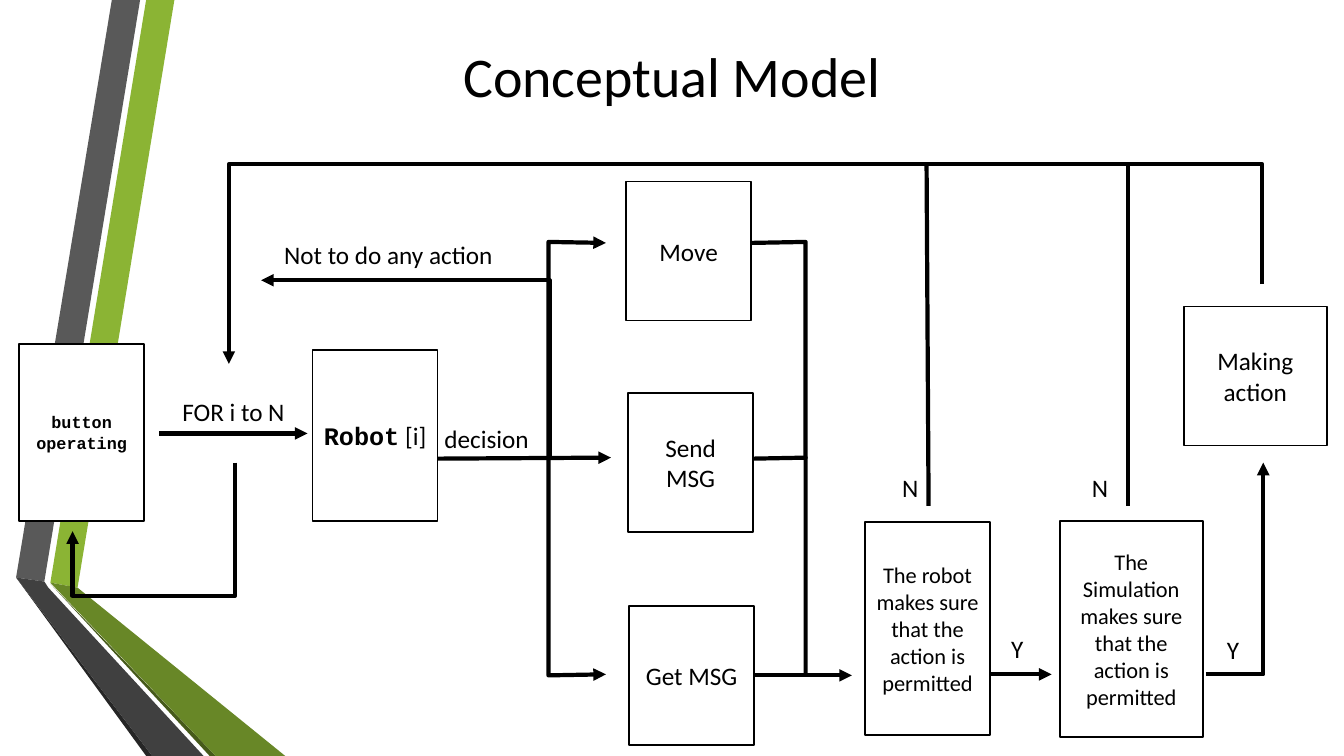
from typing import NamedTuple

from lxml import etree
from pptx import Presentation
from pptx import util as u
from pptx.dml import color
from pptx.enum import shapes, text
from pptx.oxml import ns

BLACK, WHITE = "000000", "FFFFFF"
SANS, MONO = "Calibri", "Courier New"


class Band(NamedTuple):
    fill: str
    points: list


class Box(NamedTuple):
    lines: list  # one list of (text, font, bold) per paragraph
    left: float
    top: float
    width: float
    height: float
    size: int = 18


class Label(NamedTuple):
    text: str
    left: float
    top: float
    width: float


class Route(NamedTuple):
    points: list
    arrow: bool = True
    begin: str = ""  # box whose right side the line leaves


def rgb(value: str) -> color.RGBColor:
    return color.RGBColor.from_string(value)


def plain(words: str) -> list:
    return [[(words, SANS, False)]]


def outline(shapes_, points: list, closed: bool):
    pts = [(u.Inches(x), u.Inches(y)) for x, y in points]
    fb = shapes_.build_freeform(*pts[0], scale=1.0)
    fb.add_line_segments(pts[1:], close=closed)
    sp = fb.convert_to_shape()
    sp.shadow.inherit = False
    return sp


def fill_text(tf, lines: list, size: int, align, anchor) -> None:
    tf.word_wrap = True
    tf.vertical_anchor = anchor
    for i, runs in enumerate(lines):
        p = tf.paragraphs[0] if i == 0 else tf.add_paragraph()
        p.alignment = align
        for words, font, bold in runs:
            r = p.add_run()
            r.text = words
            r.font.name, r.font.size, r.font.bold = font, u.Pt(size), bold
            r.font.color.rgb = rgb(BLACK)


def draw_band(slide, band: Band) -> None:
    sp = outline(slide.shapes, band.points, True)
    sp.fill.solid()
    sp.fill.fore_color.rgb = rgb(band.fill)
    sp.line.fill.background()


def draw_box(slide, box: Box):
    sp = slide.shapes.add_shape(shapes.MSO_SHAPE.RECTANGLE, *map(u.Inches, box[1:5]))
    sp.shadow.inherit = False
    sp.fill.solid()
    sp.fill.fore_color.rgb = rgb(WHITE)
    sp.line.color.rgb = rgb(BLACK)
    sp.line.width = u.Pt(1.25)
    fill_text(sp.text_frame, box.lines, box.size, text.PP_ALIGN.CENTER, text.MSO_ANCHOR.MIDDLE)
    return sp


def draw_label(slide, label: Label) -> None:
    sp = slide.shapes.add_textbox(*map(u.Inches, (label.left, label.top, label.width, 0.4)))
    fill_text(sp.text_frame, plain(label.text), 18, text.PP_ALIGN.LEFT, text.MSO_ANCHOR.TOP)


def draw_route(slide, route: Route, boxes: dict) -> None:
    if len(route.points) == 2:
        start, end = route.points
        sp = slide.shapes.add_connector(
            shapes.MSO_CONNECTOR.STRAIGHT, *map(u.Inches, start + end))
        etree.SubElement(sp._element.spPr, ns.qn("a:effectLst"))
        if route.begin:
            sp.begin_connect(boxes[route.begin], 3)
    else:
        sp = outline(slide.shapes, route.points, False)
        sp.fill.background()
    sp.line.color.rgb = rgb(BLACK)
    sp.line.width = u.Pt(3)
    if route.arrow:
        etree.SubElement(sp.line._get_or_add_ln(), ns.qn("a:tailEnd"), type="triangle")


# Folded ribbons on the left
BANDS = [
    Band("8BB434", [(0.5, 5.78), (0.77, 5.83), (1.73, 0), (1.45, 0)]),
    Band("595959", [(1.39, 0), (1.11, 0), (0.16, 5.73), (0.44, 5.77)]),
    Band("262626", [(0.16, 5.73), (1.45, 7.5), (1.51, 7.5)]),
    Band("465A1A", [(0.5, 5.79), (2.08, 7.5), (2.14, 7.5)]),
    Band("688727", [(0.5, 5.78), (2.14, 7.5), (2.83, 7.5), (0.77, 5.83)]),
    Band("404040", [(2.02, 7.5), (0.48, 5.83), (0.44, 5.77), (0.16, 5.73), (1.51, 7.5)]),
]

# Steps of the model
BOXES = {
    "button": Box([[("button", MONO, True)], [("operating", MONO, True)]],
                  0.19, 3.41, 1.24, 1.76, 12),
    "robot": Box([[("Robot", MONO, True), (" [i]", SANS, False)]], 3.1, 3.47, 1.24, 1.7),
    "move": Box(plain("Move"), 6.21, 1.8, 1.24, 1.38),
    "send": Box(plain("Send MSG"), 6.23, 3.9, 1.24, 1.38),
    "get": Box(plain("Get MSG"), 6.24, 6.01, 1.24, 1.38),
    "robot check": Box(plain("The robot makes sure that the action is permitted"),
                       8.58, 5.18, 1.24, 2.11, 16),
    "simulation check": Box(plain("The Simulation makes sure that the action is permitted"),
                            10.51, 5.17, 1.42, 2.14, 16),
    "action": Box(plain("Making action"), 11.74, 3.04, 1.42, 1.38),
}

ROUTES = [
    # Loop start and decision branches
    Route([(1.58, 4.3), (3.05, 4.3)]),
    Route([(2.33, 4.59), (2.33, 5.91), (0.72, 5.91), (0.72, 5.27)]),
    Route([(4.34, 4.55), (6.06, 4.54)]),
    Route([(5.44, 4.55), (5.44, 2.4), (6.01, 2.41)]),
    Route([(5.44, 4.55), (5.44, 6.7), (6.01, 6.69)]),
    Route([(5.45, 4.53), (5.45, 2.78), (2.59, 2.78)]),
    # Merge towards the checks
    Route([(7.45, 2.41), (7.99, 2.4), (7.99, 4.55)], False),
    Route([(7.47, 4.55), (7.99, 4.54), (7.99, 6.69)], False),
    Route([(7.48, 6.7), (8.45, 6.7)], begin="get"),
    Route([(9.82, 6.69), (10.43, 6.69)]),
    Route([(11.96, 6.69), (12.53, 6.69), (12.53, 4.59)]),
    # Return to the loop
    Route([(12.52, 2.82), (12.52, 1.63), (2.27, 1.63), (2.27, 3.61)]),
    Route([(9.19, 1.63), (9.21, 5.02)], False),
    Route([(11.19, 1.63), (11.19, 5.02)], False),
]

LABELS = [
    Label("FOR i to N", 1.71, 3.88, 1.27),
    Label("decision", 4.31, 4.15, 1.06),
    Label("Not to do any action", 2.72, 2.33, 2.35),
    Label("N", 8.85, 4.64, 0.38),
    Label("N", 10.73, 4.64, 0.38),
    Label("Y", 9.93, 6.23, 0.35),
    Label("Y", 12.07, 6.24, 0.35),
]


def main() -> None:
    prs = Presentation()
    prs.slide_width, prs.slide_height = u.Inches(13.33), u.Inches(7.5)
    slide = prs.slides.add_slide(prs.slide_layouts[6])
    for band in BANDS:
        draw_band(slide, band)

    # Title
    title = slide.shapes.add_textbox(0, u.Inches(0.01), u.Inches(13.33), u.Inches(1.47))
    fill_text(title.text_frame, plain("Conceptual Model"), 40,
              text.PP_ALIGN.CENTER, text.MSO_ANCHOR.MIDDLE)

    # Diagram
    boxes = {name: draw_box(slide, box) for name, box in BOXES.items()}
    for route in ROUTES:
        draw_route(slide, route, boxes)
    for label in LABELS:
        draw_label(slide, label)
    prs.save("out.pptx")


if __name__ == "__main__":
    main()
